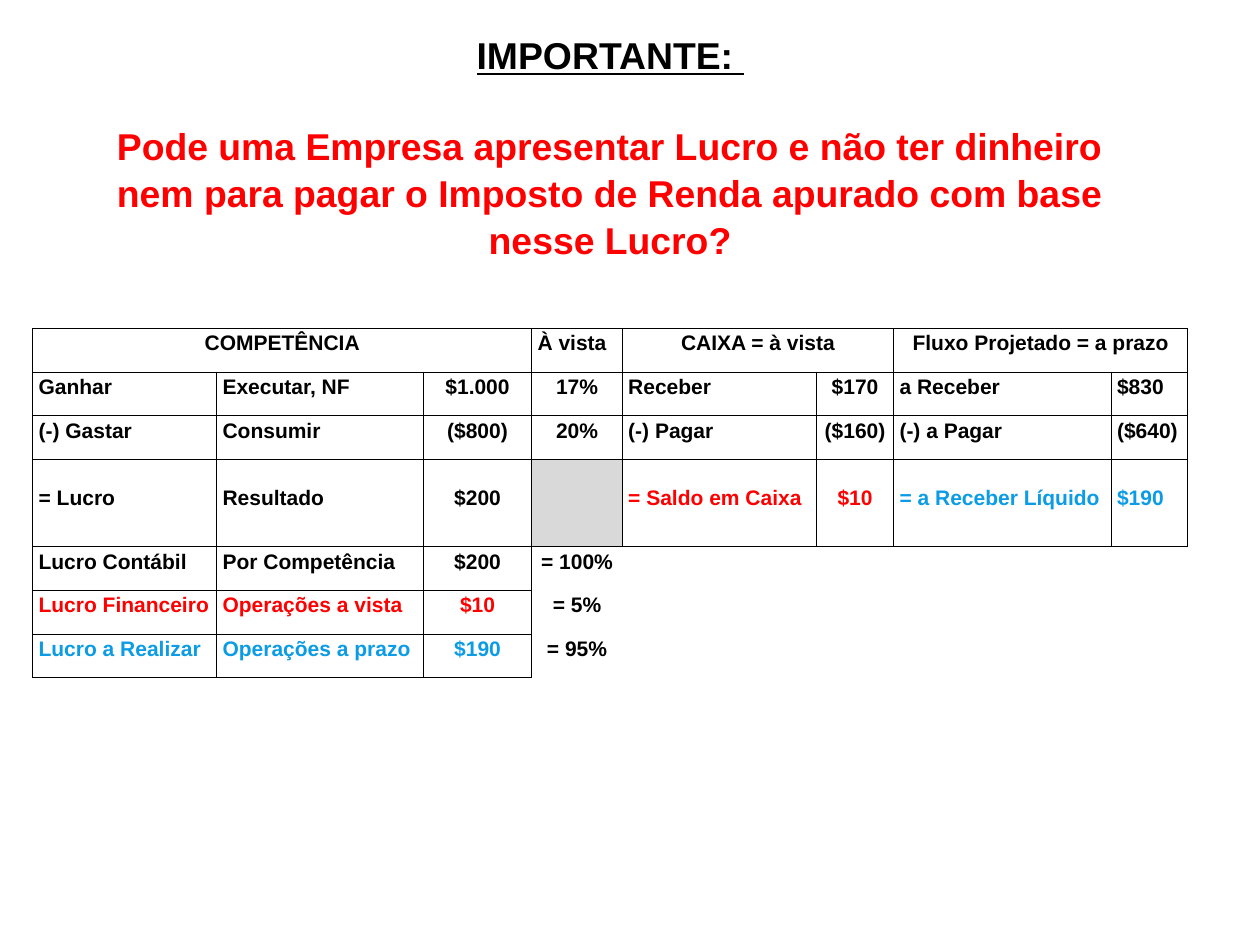
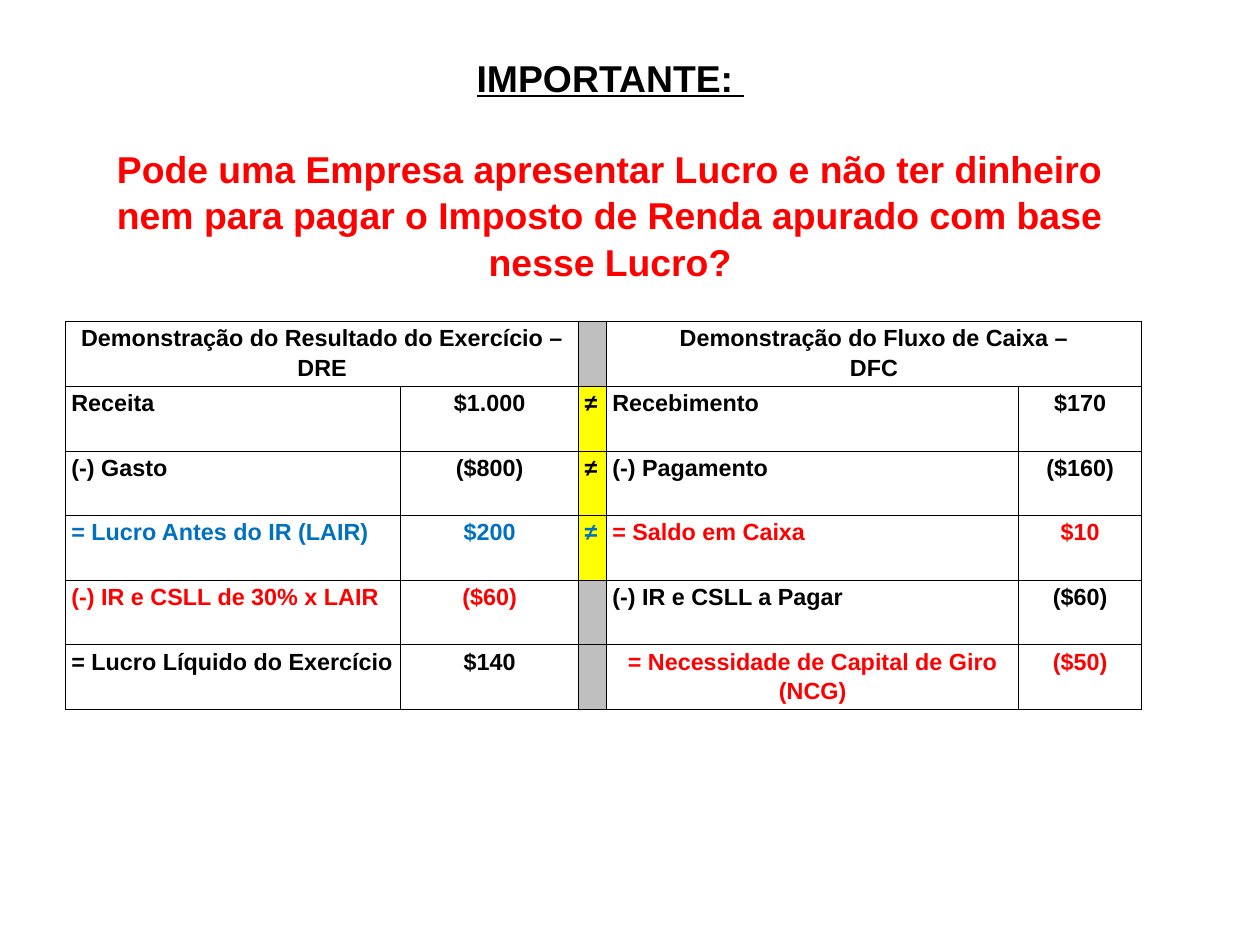
"""Build two slides that compare accounting profit with cash flow."""
from pptx import Presentation
from pptx import util as u
from pptx.dml.color import RGBColor
from pptx.enum import text
from pptx.oxml import parse_xml
from pptx.oxml.ns import nsdecls

BLACK, RED, SKY, BLUE = "000000", "FF0000", "0B9CE5", "0070C0"
LIGHT_GRAY, GRAY, YELLOW = "D9D9D9", "BFBFBF", "FFFF00"
QUESTION = ("Pode uma Empresa apresentar Lucro e não ter dinheiro nem para pagar "
            "o Imposto de Renda apurado com base nesse Lucro?")


def color(hex_value):
    return RGBColor.from_string(hex_value)


def draw_borders(cell, visible):
    for side in "LRTB":
        paint = (f'<a:solidFill><a:srgbClr val="{BLACK}"/></a:solidFill>'
                 if side in visible else "<a:noFill/>")
        cell._tc.get_or_add_tcPr().append(parse_xml(
            f'<a:ln{side} {nsdecls("a")} w="12700">{paint}</a:ln{side}>'))


pages = [
    {
        "title_box": (1.25, 0.34, 12.03, 3.33),
        "title_bottom": 0.58,
        "table_at": (0.39, 3.91),
        "columns": [2.19, 2.46, 1.29, 1.08, 2.31, 0.92, 2.59, 0.91],
        "heights": [0.52, 0.52, 0.52, 1.04, 0.52, 0.52, 0.52],
        "size": 18,
        "rows": [
            ["COMPETÊNCIA", "", "", "À vista", "CAIXA = à vista", "",
             "Fluxo Projetado = a prazo", ""],
            ["Ganhar", "Executar, NF", "$1.000", "17%", "Receber", "$170",
             "a Receber", "$830"],
            ["(-) Gastar", "Consumir", "($800)", "20%", "(-) Pagar", "($160)",
             "(-) a Pagar", "($640)"],
            ["= Lucro", "Resultado", "$200", "", "= Saldo em Caixa", "$10",
             "= a Receber Líquido", "$190"],
            ["Lucro Contábil", "Por Competência", "$200", "= 100%"],
            ["Lucro Financeiro", "Operações a vista", "$10", "= 5%"],
            ["Lucro a Realizar", "Operações a prazo", "$190", "= 95%"],
        ],
        "merges": [(0, 2), (4, 5), (6, 7)],
        "centered_columns": {2, 3, 5},
        "centered_cells": {(0, 0), (0, 4), (0, 6)},
        "left_cells": {(0, 3)},
        "text_colors": [(3, 4, 5, RED), (3, 6, 7, SKY), (5, 0, 2, RED), (6, 0, 2, SKY)],
        "fills": {(3, 3): LIGHT_GRAY},
        "lowered_row": 3,
        "open_from": (4, 3),
    },
    {
        "title_box": (1.25, 0.61, 12.03, 2.79),
        "title_bottom": 0.05,
        "table_at": (0.78, 3.83),
        "columns": [3.99, 2.12, 0.33, 4.91, 1.46],
        "heights": [0.77] * 6,
        "size": 20,
        "rows": [
            ["Demonstração do Resultado do Exercício – DRE", "", "",
             "Demonstração do Fluxo de Caixa –\nDFC", ""],
            ["Receita", "$1.000", "≠", "Recebimento", "$170"],
            ["(-) Gasto", "($800)", "≠", "(-) Pagamento", "($160)"],
            ["= Lucro Antes do IR (LAIR)", "$200", "≠", "= Saldo em Caixa", "$10"],
            ["(-) IR e CSLL de 30% x LAIR", "($60)", "", "(-) IR e CSLL a Pagar", "($60)"],
            ["= Lucro Líquido do Exercício", "$140", "",
             "= Necessidade de Capital de Giro (NCG)", "($50)"],
        ],
        "merges": [(0, 1), (3, 4)],
        "centered_columns": {1, 4},
        "centered_cells": {(0, 0), (0, 3), (5, 3)},
        "left_cells": set(),
        "text_colors": [(3, 0, 2, BLUE), (3, 3, 4, RED), (4, 0, 1, RED), (5, 3, 4, RED)],
        "fills": {(row, 2): YELLOW if row in (1, 2, 3) else GRAY for row in range(6)},
        "lowered_row": None,
        "open_from": (6, 5),
    },
]

deck = Presentation()
deck.slide_width, deck.slide_height = u.Inches(15), u.Inches(11.25)

for page in pages:
    slide = deck.slides.add_slide(deck.slide_layouts[5])

    title = slide.shapes.title
    for name, value in zip(("left", "top", "width", "height"), page["title_box"]):
        setattr(title, name, u.Inches(value))
    frame = title.text_frame
    frame_format = {"word_wrap": True, "auto_size": text.MSO_AUTO_SIZE.SHAPE_TO_FIT_TEXT,
                    "vertical_anchor": text.MSO_ANCHOR.MIDDLE,
                    "margin_bottom": u.Inches(page["title_bottom"])}
    for name, value in frame_format.items():
        setattr(frame, name, value)
    title_lines = [("IMPORTANTE: ", BLACK, True, 0), (QUESTION, RED, False, 38)]
    for index, (words, shade, underline, gap) in enumerate(title_lines):
        para = frame.add_paragraph() if index else frame.paragraphs[0]
        para.alignment = text.PP_ALIGN.CENTER
        para.line_spacing = 1.04
        para.space_before = u.Pt(gap)
        span = para.add_run()
        span.text = words
        span.font.color.rgb = color(shade)
        span_format = {"name": "Arial", "size": u.Pt(32), "bold": True, "underline": underline}
        for name, value in span_format.items():
            setattr(span.font, name, value)

    columns, heights = page["columns"], page["heights"]
    left, top = page["table_at"]
    table = slide.shapes.add_table(
        len(heights), len(columns), u.Inches(left), u.Inches(top),
        u.Inches(sum(columns)), u.Inches(sum(heights))).table
    table.first_row = table.horz_banding = False
    for column, width in zip(table.columns, columns):
        column.width = u.Inches(width)
    for line, height in zip(table.rows, heights):
        line.height = u.Inches(height)
    for first, last in page["merges"]:
        table.cell(0, first).merge(table.cell(0, last))

    text_colors = {(row, col): shade for row, first, last, shade in page["text_colors"]
                   for col in range(first, last + 1)}
    open_row, open_col = page["open_from"]
    for row in range(len(heights)):
        for col in range(len(columns)):
            place = (row, col)
            cell = table.cell(row, col)
            if row >= open_row and col >= open_col:
                draw_borders(cell, "L" * (col == open_col) + "T" * (row == open_row))
            else:
                draw_borders(cell, "LRTB")
            if place in page["fills"]:
                cell.fill.solid()
                cell.fill.fore_color.rgb = color(page["fills"][place])
            else:
                cell.fill.background()
            cell.margin_left = cell.margin_right = u.Inches(0.07)
            cell.margin_top = u.Inches(0.28 if row == page["lowered_row"] else 0)
            cell.margin_bottom = 0
            if col >= len(page["rows"][row]) or not page["rows"][row][col]:
                continue
            cell.text = page["rows"][row][col]
            centered = place in page["centered_cells"] or (
                col in page["centered_columns"] and place not in page["left_cells"])
            for para in cell.text_frame.paragraphs:
                para.alignment = text.PP_ALIGN.CENTER if centered else text.PP_ALIGN.LEFT
                para.line_spacing = 1.15
                for span in para.runs:
                    span.font.color.rgb = color(text_colors.get(place, BLACK))
                    span_format = {"name": "Arial", "size": u.Pt(page["size"]), "bold": True}
                    for name, value in span_format.items():
                        setattr(span.font, name, value)

deck.save("out.pptx")
